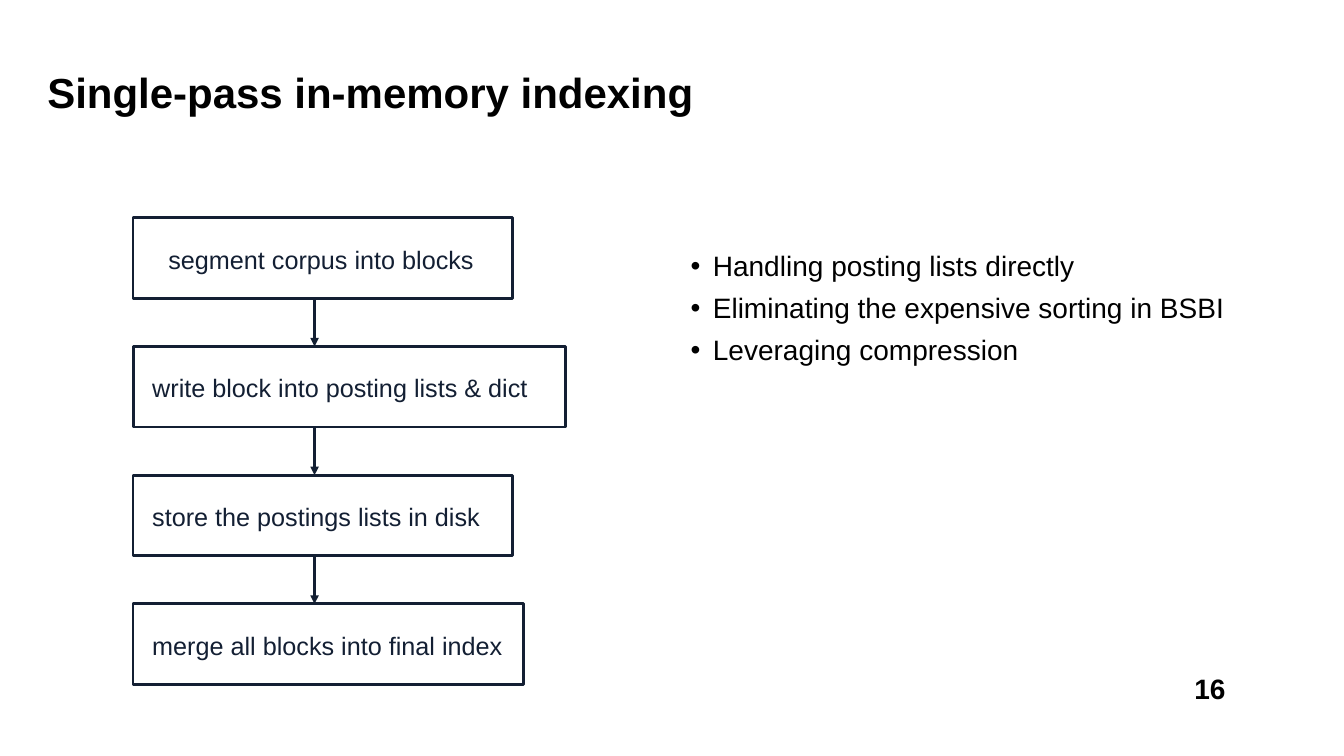
from pptx import Presentation as Deck
from pptx.dml.color import RGBColor as Rgb
from pptx.enum.shapes import MSO_CONNECTOR as Link, MSO_SHAPE as Form
from pptx.enum.text import MSO_ANCHOR as Anchor, PP_ALIGN as Align
from pptx.oxml.ns import qn
from pptx.util import Inches as In, Pt
from lxml.etree import SubElement as Sub

THEME = {
    "font": "Arial", "ink": Rgb.from_string("131F33"),
    "black": Rgb.from_string("000000"),
    "title": Pt(30), "body": Pt(20), "step": Pt(18), "line": Pt(2),
}

# Flow grid: left edge, first top, row pitch, box height, arrow column
LEFT, TOP, PITCH, TALL, MID = 1.32, 2.16, 1.277, 0.8, 3.12

# Step text, box width, text left, text width
STEPS = [
    ("segment corpus into blocks", 3.76, 1.62, 3.14),
    ("write block into posting lists & dict", 4.29, 1.46, 3.84),
    ("store the postings lists in disk", 3.76, 1.46, 3.37),
    ("merge all blocks into final index", 3.87, 1.46, 3.59),
]
POINTS = [
    "Handling posting lists directly",
    "Eliminating the expensive sorting in BSBI",
    "Leveraging compression",
]


def style(item, form):
    for name, value in form.items():
        setattr(item, name, value)


def text(slide, place, lines, size, color, bold=False, pad=0.05, frame=None,
         para=None):
    """Add a text box with one paragraph per line."""
    box = slide.shapes.add_textbox(*map(In, place)).text_frame
    sides = ("left", "top", "right", "bottom")
    style(box, {f"margin_{side}": In(pad) for side in sides})
    style(box, {"word_wrap": True, **(frame or {})})
    box.text = "\n".join(lines)
    for row in box.paragraphs:
        style(row, para or {})
        style(row.runs[0].font,
              {"name": THEME["font"], "size": size, "bold": bold})
        row.runs[0].font.color.rgb = color
    return box


def bullet(row):
    """Give a paragraph a hanging bullet."""
    props = row._p.get_or_add_pPr()
    props.set("marL", str(In(0.22)))
    props.set("indent", str(In(-0.22)))
    Sub(props, qn("a:buFont"), typeface=THEME["font"])
    Sub(props, qn("a:buChar"), char="•")


def pen(line):
    style(line, {"width": THEME["line"]})
    line.color.rgb = THEME["ink"]


def step(slide, top, label, wide, left, span):
    """Draw one outlined box and its label."""
    box = slide.shapes.add_shape(
        Form.RECTANGLE, In(LEFT), In(top), In(wide), In(TALL))
    box.shadow.inherit = False
    box.fill.background()
    pen(box.line)
    text(slide, (left, top + 0.21, span, 0.38), [label], THEME["step"],
         THEME["ink"], frame={"word_wrap": False})


def arrow(slide, start, end):
    """Draw a downward arrow in the arrow column."""
    link = slide.shapes.add_connector(
        Link.STRAIGHT, In(MID), In(start), In(MID), In(end))
    pen(link.line)
    Sub(link.line._get_or_add_ln(), qn("a:tailEnd"), type="triangle")
    Sub(link._element.spPr, qn("a:effectLst"))


def main():
    deck = Deck()
    style(deck, {"slide_width": In(13.33), "slide_height": In(7.5)})
    slide = deck.slides.add_slide(deck.slide_layouts[6])

    # Title and page number
    text(slide, (0.42, 0.58, 11.54, 0.72), ["Single-pass in-memory indexing"],
         THEME["title"], THEME["black"], True,
         frame={"vertical_anchor": Anchor.MIDDLE}, para={"line_spacing": 0.9})
    text(slide, (11.8, 6.62, 0.4, 0.39), ["16"], THEME["body"],
         THEME["black"], True, 0.04, {"word_wrap": False},
         {"alignment": Align.CENTER})

    # Flow of steps
    tops = [TOP + PITCH * row for row in range(len(STEPS))]
    for top, facts in zip(tops, STEPS):
        step(slide, top, *facts)
    for top, below in zip(tops, tops[1:]):
        arrow(slide, top + TALL, below)

    # Bullet points
    notes = text(slide, (6.8, 2.42, 6.68, 1.57), POINTS, THEME["body"],
                 THEME["black"], para={"space_before": Pt(6)})
    for row in notes.paragraphs:
        bullet(row)

    deck.save("out.pptx")


if __name__ == "__main__":
    main()
